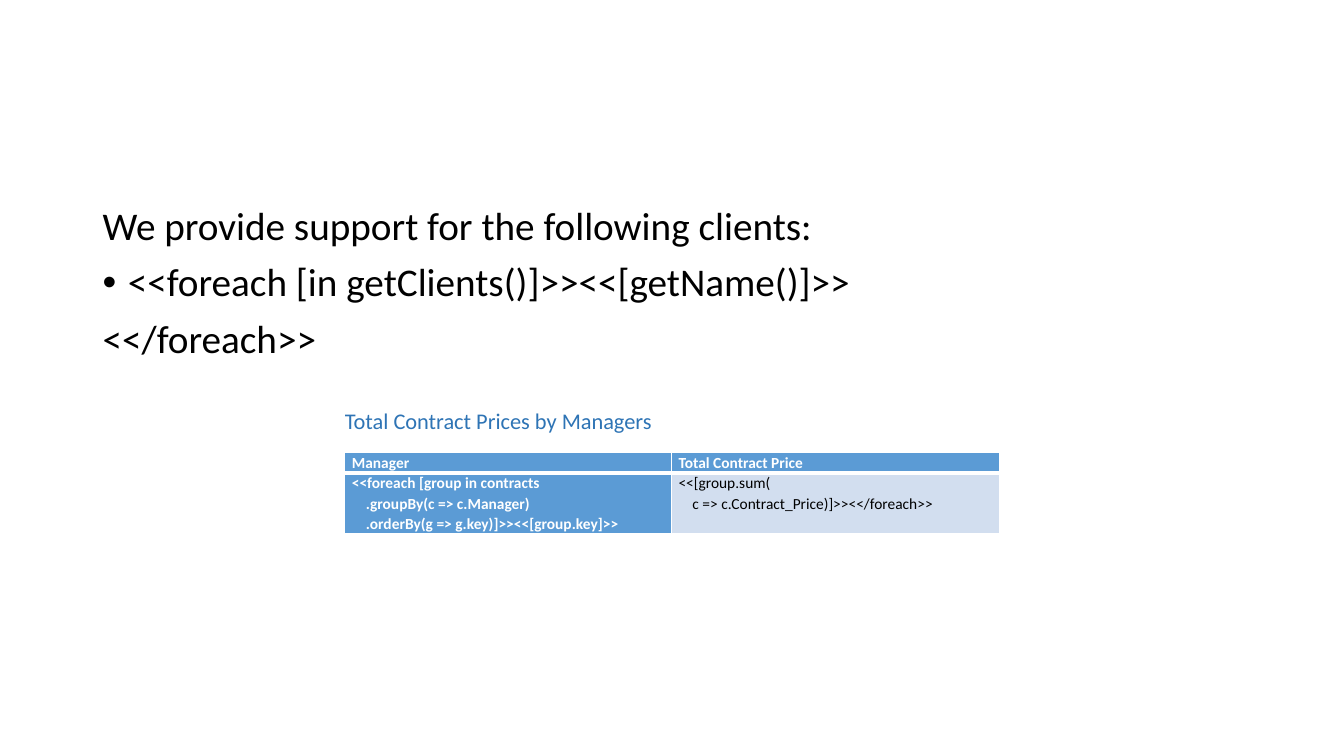
from dataclasses import dataclass

from lxml import etree
from pptx import Presentation
from pptx.dml.color import RGBColor
from pptx.enum import text as text_enum
from pptx.oxml import ns
from pptx.util import Inches, Pt

FONT = "Calibri"
COLORS = {
    "black": "000000",
    "white": "FFFFFF",
    "heading": "2E74B5",
    "accent": "5B9BD5",
    "band": "D2DEEF",
}


@dataclass(frozen=True)
class Style:
    size: float
    color: str
    bold: bool = False
    line_spacing: float = 1.0
    space_before: float = 0


@dataclass(frozen=True)
class CellContent:
    lines: tuple[str, ...]
    fill: str
    style: Style
    bottom_border: float = 1


BODY = Style(28, "black", line_spacing=0.9, space_before=10)
HEADING = Style(16, "heading")
STRONG = Style(11, "white", bold=True, line_spacing=1.07)
PLAIN = Style(11, "black", line_spacing=1.07)

BODY_LINES = (
    "We provide support for the following clients:",
    "<<foreach [in getClients()]>><<[getName()]>>",
    "<</foreach>>",
)
BULLETED_LINE = 1

TABLE_LEFT, TABLE_TOP = 3.42, 4.49
COLUMN_WIDTHS = (3.24, 3.25)
ROW_HEIGHTS = (0.2, 0.6)
CONTRACT_ROWS = (
    (
        CellContent(("Manager",), "accent", STRONG, 3),
        CellContent(("Total Contract Price",), "accent", STRONG, 3),
    ),
    (
        CellContent(
            (
                "<<foreach [group in contracts",
                "    .groupBy(c => c.Manager)",
                "    .orderBy(g => g.key)]>><<[group.key]>>",
            ),
            "accent",
            STRONG,
        ),
        CellContent(
            ("<<[group.sum(", "    c => c.Contract_Price)]>><</foreach>>"),
            "band",
            PLAIN,
        ),
    ),
)


def rgb(name: str) -> RGBColor:
    return RGBColor.from_string(COLORS[name])


def write_lines(frame, lines: tuple[str, ...], style: Style) -> None:
    for index, line in enumerate(lines):
        para = frame.paragraphs[0] if index == 0 else frame.add_paragraph()
        para.line_spacing = style.line_spacing
        para.space_before = Pt(style.space_before if index else 0)
        span = para.add_run()
        span.text = line
        span.font.name = FONT
        span.font.size = Pt(style.size)
        span.font.bold = style.bold
        span.font.color.rgb = rgb(style.color)


def add_bullet(para, indent: float) -> None:
    properties = para._p.get_or_add_pPr()
    properties.set("marL", str(Inches(indent)))
    properties.set("indent", str(-Inches(indent)))
    etree.SubElement(properties, ns.qn("a:buFont"), typeface="Arial")
    etree.SubElement(properties, ns.qn("a:buChar"), char="•")


def add_text(page, left: float, top: float, width: float, height: float,
             lines: tuple[str, ...], style: Style):
    box = page.shapes.add_textbox(
        Inches(left), Inches(top), Inches(width), Inches(height))
    frame = box.text_frame
    frame.word_wrap = True
    frame.vertical_anchor = text_enum.MSO_ANCHOR.TOP
    write_lines(frame, lines, style)
    return frame


def set_borders(cell, bottom_width: float) -> None:
    properties = cell._tc.get_or_add_tcPr()
    for side in "LRTB":
        width = bottom_width if side == "B" else 1
        line = etree.SubElement(
            properties, ns.qn(f"a:ln{side}"), w=str(Pt(width)))
        fill = etree.SubElement(line, ns.qn("a:solidFill"))
        etree.SubElement(fill, ns.qn("a:srgbClr"), val=COLORS["white"])


def fill_cell(cell, content: CellContent) -> None:
    cell.margin_left = cell.margin_right = Inches(0.07)
    cell.margin_top = cell.margin_bottom = 0
    set_borders(cell, content.bottom_border)
    cell.fill.solid()
    cell.fill.fore_color.rgb = rgb(content.fill)
    write_lines(cell.text_frame, content.lines, content.style)


def add_contract_table(page) -> None:
    table = page.shapes.add_table(
        len(ROW_HEIGHTS), len(COLUMN_WIDTHS),
        Inches(TABLE_LEFT), Inches(TABLE_TOP),
        Inches(sum(COLUMN_WIDTHS)), Inches(sum(ROW_HEIGHTS))).table
    for column, width in zip(table.columns, COLUMN_WIDTHS):
        column.width = Inches(width)
    for row, height, contents in zip(table.rows, ROW_HEIGHTS, CONTRACT_ROWS):
        row.height = Inches(height)
        for cell, content in zip(row.cells, contents):
            fill_cell(cell, content)


def main() -> None:
    deck = Presentation()
    deck.slide_width, deck.slide_height = Inches(13.33), Inches(7.5)
    page = deck.slides.add_slide(deck.slide_layouts[6])

    clients = add_text(page, 0.92, 2, 11.5, 4.76, BODY_LINES, BODY)
    add_bullet(clients.paragraphs[BULLETED_LINE], 0.25)

    add_contract_table(page)

    heading = add_text(page, TABLE_LEFT, 3.98, sum(COLUMN_WIDTHS), 0.5,
                       ("Total Contract Prices by Managers",), HEADING)
    heading.margin_left = heading.margin_right = heading.margin_bottom = 0
    heading.margin_top = Inches(0.06)

    deck.save("out.pptx")


if __name__ == "__main__":
    main()
